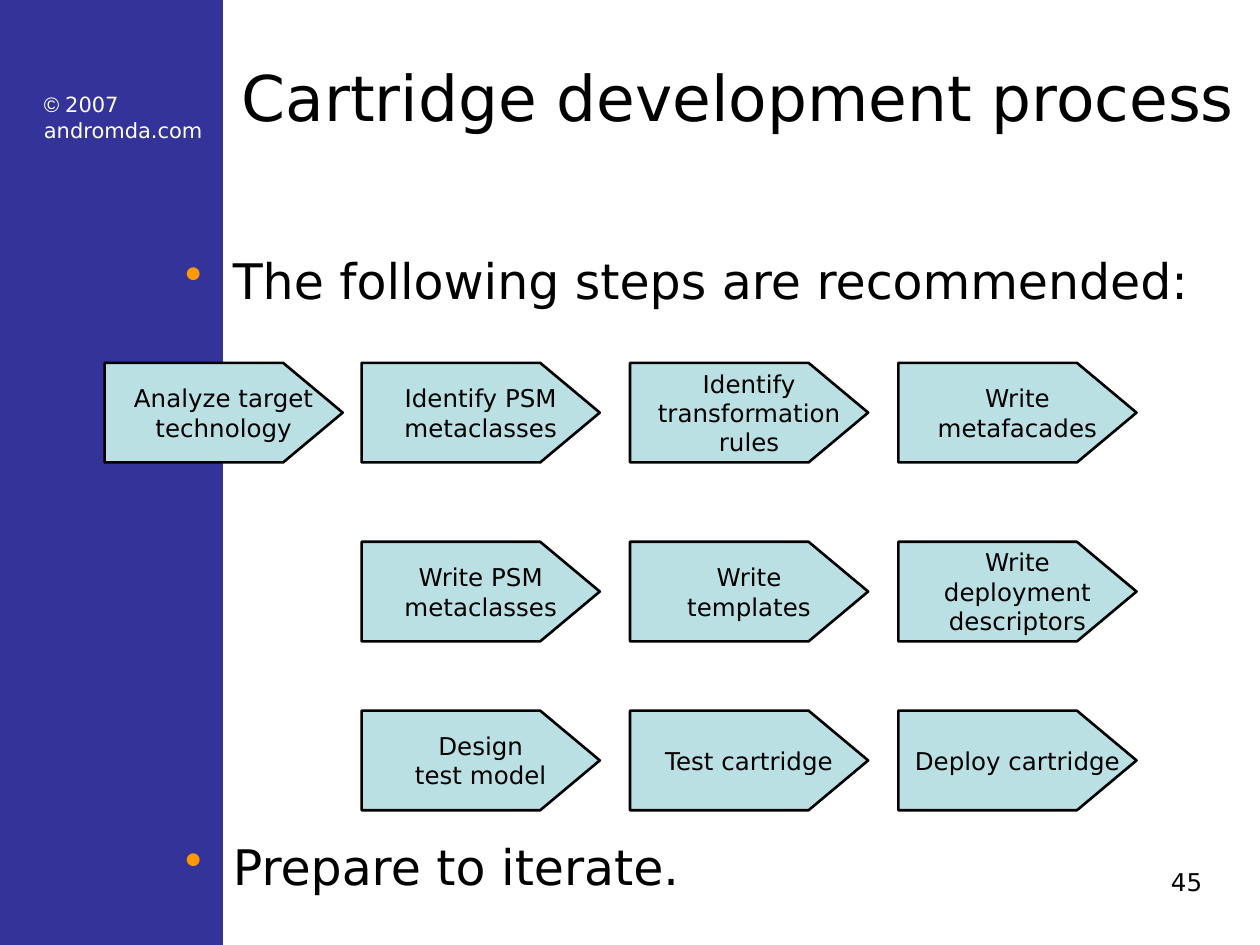
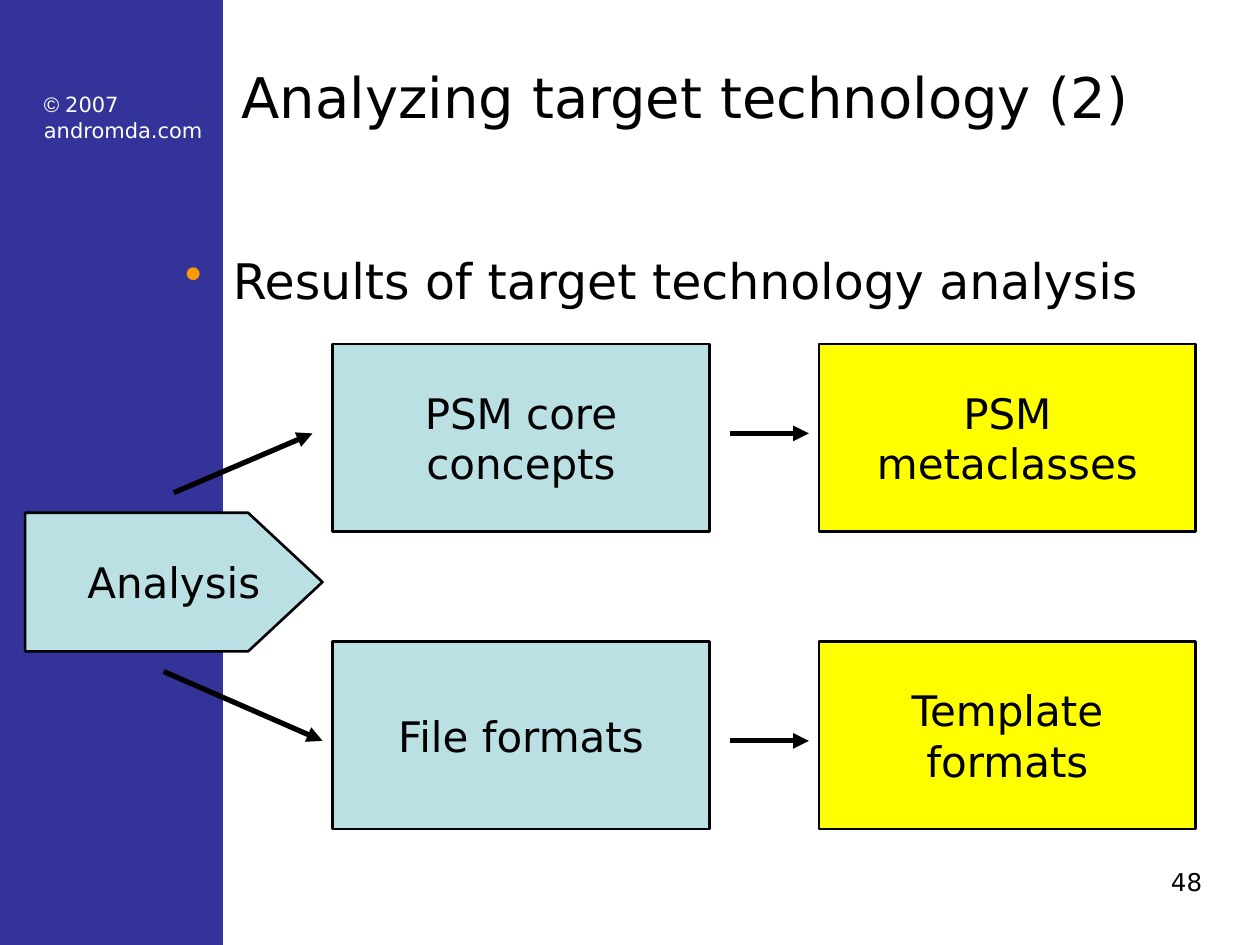
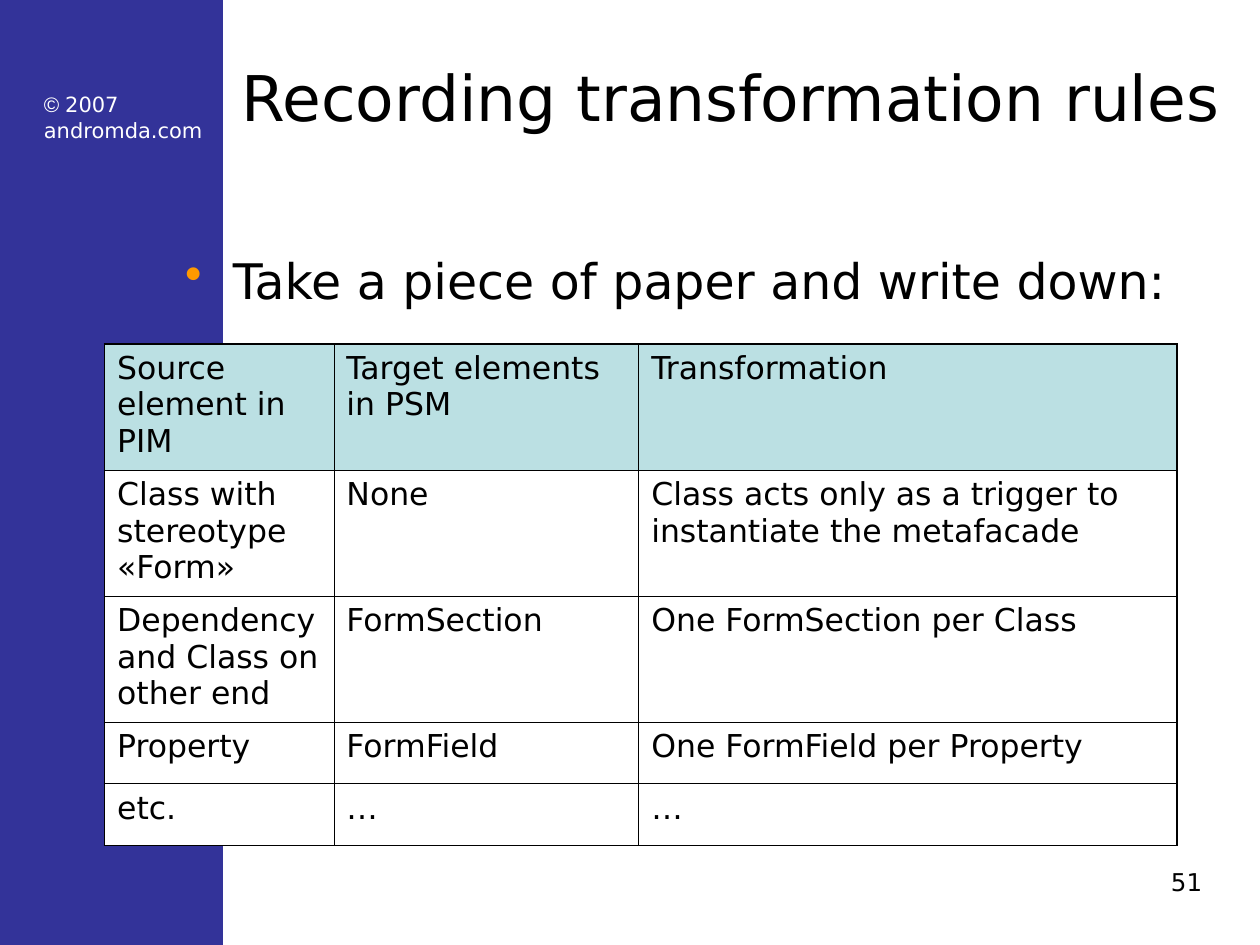
"""Build three slides on cartridge development: steps, analysis results and rules."""
from copy import deepcopy
from dataclasses import dataclass

from lxml import etree
from pptx import Presentation
from pptx.dml.color import RGBColor
from pptx.enum import shapes, text
from pptx.oxml import ns
from pptx.util import Inches, Pt


@dataclass(frozen=True)
class Theme:
    font: str = "DejaVu Sans"
    symbol_font: str = "Arial"
    band: str = "333399"
    paper: str = "FFFFFF"
    ink: str = "000000"
    bullet: str = "FF9900"
    pale: str = "BBE0E3"
    result: str = "FFFF00"
    title: int = 36
    long_title: int = 32
    body: int = 28
    diagram: int = 24
    table: int = 18
    small: int = 14
    copyright: int = 12
    outline: float = 1.5
    arrow: float = 3
    outer_border: float = 1.08
    inner_border: float = 0.45


THEME = Theme()

STEP_ROWS = [
    (2.88, [(0.83, "Analyze target\ntechnology"), (2.87, "Identify PSM\nmetaclasses"),
            (5, "Identify\ntransformation\nrules"), (7.13, "Write\nmetafacades")]),
    (4.3, [(2.87, "Write PSM\nmetaclasses"), (5, "Write\ntemplates"),
           (7.13, "Write\ndeployment\ndescriptors")]),
    (5.64, [(2.87, "Design\ntest model"), (5, "Test cartridge"),
            (7.13, "Deploy cartridge")]),
]
STEP_SIZE = (1.89, 0.79)

RESULT_ROWS = [
    (2.73, "PSM core\nconcepts", "PSM\nmetaclasses"),
    (5.09, "File formats", "Template\nformats"),
]
RESULT_COLUMNS = [(2.64, THEME.pale), (6.5, THEME.result)]
RESULT_SIZE = (2.99, 1.49)
RESULT_ARROWS = [
    ((1.38, 3.91), (2.48, 3.44)),
    ((1.3, 5.33), (2.56, 5.88)),
    ((5.79, 3.44), (6.42, 3.44)),
    ((5.79, 5.88), (6.42, 5.88)),
]

RULES = [
    ("Source element in PIM", "Target elements\nin PSM", "Transformation"),
    ("Class with stereotype «Form»", "None",
     "Class acts only as a trigger to instantiate the metafacade"),
    ("Dependency and Class on other end", "FormSection", "One FormSection per Class"),
    ("Property", "FormField", "One FormField per Property"),
    ("etc.", "…", "…"),
]
RULE_WIDTHS = [1.82, 2.42, 4.27]
RULE_HEIGHTS = [1, 1, 1, 0.49, 0.49]


def color(value):
    return RGBColor.from_string(value)


def inches(values):
    return [Inches(value) for value in values]


def add_text(para, words, size, ink=THEME.ink, font=THEME.font):
    for number, line in enumerate(words.split("\n")):
        if number:
            para.add_line_break()
            para._p[-1].append(deepcopy(span._r.rPr))
        span = para.add_run()
        span.text = line
        span.font.size = Pt(size)
        span.font.name = font
        span.font.color.rgb = color(ink)


def add_box(page, place):
    box = page.shapes.add_textbox(*inches(place))
    box.text_frame.word_wrap = True
    return box.text_frame


def add_bullet(page, top, words):
    para = add_box(page, (1.37, top, 8.28, 0.71)).paragraphs[0]
    props = para._p.get_or_add_pPr()
    props.set("marL", str(Inches(0.38)))
    props.set("indent", str(Inches(-0.38)))
    tint = etree.SubElement(props, ns.qn("a:buClr"))
    etree.SubElement(tint, ns.qn("a:srgbClr"), val=THEME.bullet)
    etree.SubElement(props, ns.qn("a:buChar"), char="•")
    add_text(para, words, THEME.body)


def add_page(deck, title, number, title_size=THEME.title):
    page = deck.slides.add_slide(deck.slide_layouts[6])
    page.background.fill.solid()
    page.background.fill.fore_color.rgb = color(THEME.paper)
    band = page.shapes.add_shape(shapes.MSO_SHAPE.RECTANGLE, *inches((0, 0, 1.77, 7.5)))
    band.shadow.inherit = False
    band.fill.solid()
    band.fill.fore_color.rgb = color(THEME.band)
    band.line.fill.background()

    para = add_box(page, (0.25, 0.68, 1.58, 0.5)).paragraphs[0]
    add_text(para, "© ", THEME.copyright, THEME.paper, THEME.symbol_font)
    add_text(para, "2007\nandromda.com", THEME.copyright, THEME.paper)

    heading = add_box(page, (1.82, 0.14, 8.14, 1.25))
    heading.vertical_anchor = text.MSO_ANCHOR.MIDDLE
    add_text(heading.paragraphs[0], title, title_size)

    para = add_box(page, (7.11, 6.83, 2.53, 0.52)).paragraphs[0]
    para.alignment = text.PP_ALIGN.RIGHT
    add_text(para, str(number), THEME.small)
    return page


def finish_node(node, words, size, fill):
    node.shadow.inherit = False
    node.fill.solid()
    node.fill.fore_color.rgb = color(fill)
    node.line.color.rgb = color(THEME.ink)
    node.line.width = Pt(THEME.outline)
    frame = node.text_frame
    frame.word_wrap = False
    frame.vertical_anchor = text.MSO_ANCHOR.MIDDLE
    para = frame.paragraphs[0]
    para.alignment = text.PP_ALIGN.CENTER
    add_text(para, words, size)


def add_step(page, left, top, width, height, words, size):
    shoulder, right = left + width * 0.75, left + width
    middle, bottom = top + height / 2, top + height
    corners = [(shoulder, top), (right, middle), (shoulder, bottom), (left, bottom)]
    outline = page.shapes.build_freeform(Inches(left), Inches(top))
    outline.add_line_segments([inches(corner) for corner in corners], close=True)
    finish_node(outline.convert_to_shape(), words, size, THEME.pale)


def add_arrow(page, start, end):
    arrow = page.shapes.add_connector(
        shapes.MSO_CONNECTOR.STRAIGHT, *inches(start + end))
    arrow.line.color.rgb = color(THEME.ink)
    arrow.line.width = Pt(THEME.arrow)
    etree.SubElement(arrow.line._get_or_add_ln(), ns.qn("a:tailEnd"), type="triangle")
    etree.SubElement(arrow._element.spPr, ns.qn("a:effectLst"))


def add_border(cell, side, width):
    props = cell._tc.get_or_add_tcPr()
    border = etree.SubElement(props, ns.qn(f"a:ln{side}"), w=str(Pt(width)))
    fill = etree.SubElement(border, ns.qn("a:solidFill"))
    etree.SubElement(fill, ns.qn("a:srgbClr"), val=THEME.ink)


def add_rules(page):
    last_row, last_column = len(RULES) - 1, len(RULE_WIDTHS) - 1
    place = inches((0.83, 2.73, sum(RULE_WIDTHS), sum(RULE_HEIGHTS)))
    table = page.shapes.add_table(len(RULES), len(RULE_WIDTHS), *place).table
    table.first_row = table.horz_banding = False
    for column, width in zip(table.columns, RULE_WIDTHS):
        column.width = Inches(width)
    for row, height in zip(table.rows, RULE_HEIGHTS):
        row.height = Inches(height)
    for r, rule in enumerate(RULES):
        for c, words in enumerate(rule):
            cell = table.cell(r, c)
            edges = {"L": c == 0, "R": c == last_column, "T": r == 0, "B": r == last_row}
            for side, outer in edges.items():
                add_border(cell, side, THEME.outer_border if outer else THEME.inner_border)
            cell.fill.solid()
            cell.fill.fore_color.rgb = color(THEME.paper if r else THEME.pale)
            add_text(cell.text_frame.paragraphs[0], words, THEME.table)


def build_process(deck):
    page = add_page(deck, "Cartridge development process", 45)
    add_bullet(page, 1.94, "The following steps are recommended:")
    for top, steps in STEP_ROWS:
        for left, words in steps:
            add_step(page, left, top, *STEP_SIZE, words, THEME.small)
    add_bullet(page, 6.59, "Prepare to iterate.")


def build_analysis(deck):
    page = add_page(deck, "Analyzing target technology (2)", 48, THEME.long_title)
    add_bullet(page, 1.94, "Results of target technology analysis")
    for top, *labels in RESULT_ROWS:
        for (left, fill), words in zip(RESULT_COLUMNS, labels):
            node = page.shapes.add_shape(
                shapes.MSO_SHAPE.RECTANGLE, *inches((left, top, *RESULT_SIZE)))
            finish_node(node, words, THEME.diagram, fill)
    add_step(page, 0.2, 4.07, 2.36, 1.1, "Analysis", THEME.diagram)
    for start, end in RESULT_ARROWS:
        add_arrow(page, start, end)


def build_rules(deck):
    page = add_page(deck, "Recording transformation rules", 51)
    add_bullet(page, 1.94, "Take a piece of paper and write down:")
    add_rules(page)


def main():
    deck = Presentation()
    deck.slide_width, deck.slide_height = Inches(10), Inches(7.5)
    build_process(deck)
    build_analysis(deck)
    build_rules(deck)
    deck.save("out.pptx")


if __name__ == "__main__":
    main()
